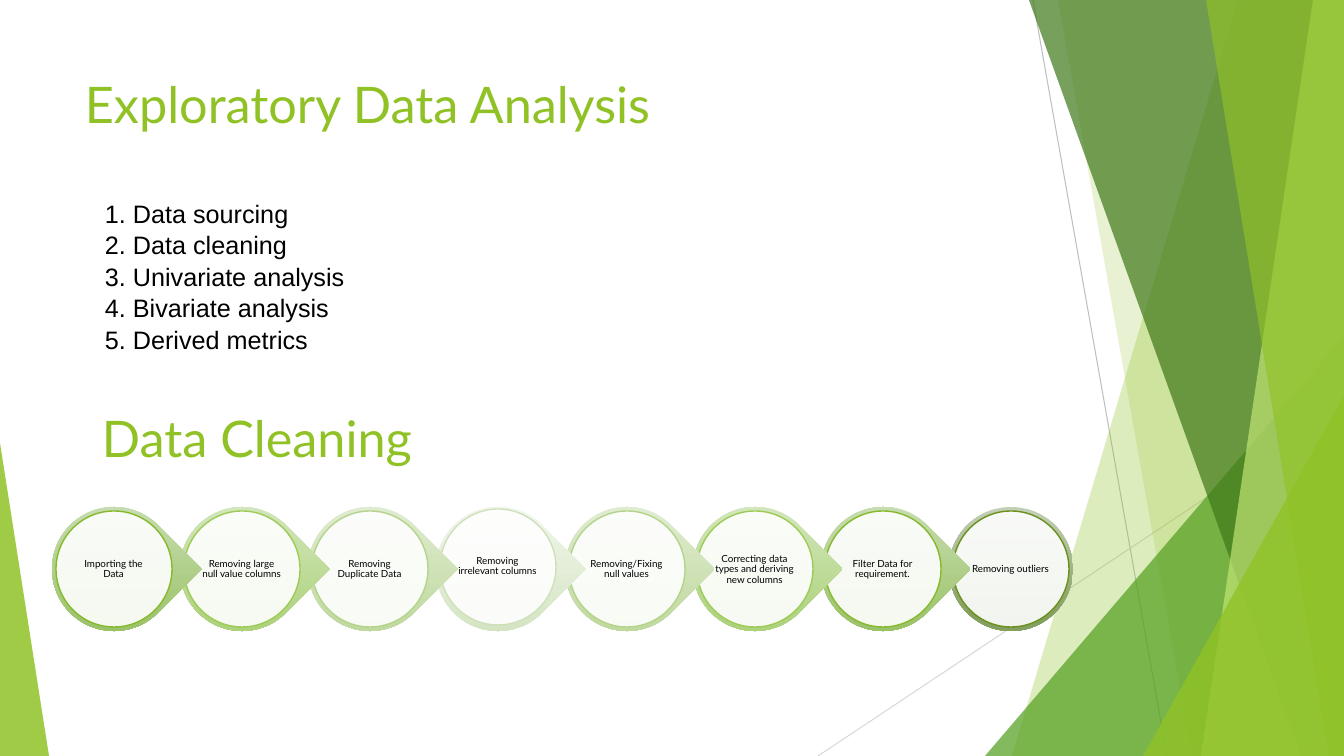
from lxml import etree
from pptx import Presentation
from pptx.dml.color import RGBColor
from pptx.enum.shapes import MSO_CONNECTOR, MSO_SHAPE
from pptx.enum.text import MSO_ANCHOR, PP_ALIGN
from pptx.oxml.ns import qn
from pptx.util import Emu, Pt

LINE = MSO_CONNECTOR.STRAIGHT
OVAL, TEAR, TRIANGLE = MSO_SHAPE.OVAL, MSO_SHAPE.TEAR, MSO_SHAPE.ISOSCELES_TRIANGLE
TOP, MIDDLE = MSO_ANCHOR.TOP, MSO_ANCHOR.MIDDLE
LEFT, CENTER = PP_ALIGN.LEFT, PP_ALIGN.CENTER
WIDTH, HEIGHT = 1344, 756
GREEN = "90C226"


def px(n):
    return Emu(round(n * 914400 / 100.8))


def rgb(color):
    return RGBColor.from_string(color)


def write(tf, text, font="Lato", size=36, color=GREEN, align=LEFT, spacing=1.0):
    for i, line in enumerate(text.split("\n")):
        p = tf.paragraphs[0] if i == 0 else tf.add_paragraph()
        p.alignment, p.line_spacing = align, spacing
        r = p.add_run()
        r.text = line
        r.font.name, r.font.size = font, Pt(size)
        r.font.color.rgb = rgb(color)


class Deck:
    def __init__(self):
        self.prs = Presentation()
        self.prs.slide_width, self.prs.slide_height = px(WIDTH), px(HEIGHT)
        self.s = self.prs.slides.add_slide(self.prs.slide_layouts[6])

    def line(self, x1, y1, x2, y2, color):
        sp = self.s.shapes.add_connector(LINE, px(x1), px(y1), px(x2), px(y2))
        sp.line.color.rgb, sp.line.width = rgb(color), Pt(0.75)
        etree.SubElement(sp._element.spPr, qn("a:effectLst"))

    def paint(self, sp, color, opacity, outline=None):
        sp.shadow.inherit = False
        sp.fill.solid()
        sp.fill.fore_color.rgb = rgb(color)
        clr = sp._element.spPr.find(qn("a:solidFill"))[0]
        etree.SubElement(clr, qn("a:alpha")).set("val", str(opacity * 1000))
        if outline:
            sp.line.color.rgb, sp.line.width = rgb(outline), Pt(1)
        else:
            sp.line.fill.background()

    def panel(self, top_x, bottom_x, color, opacity):
        """Full-height band from a slanted left edge to the slide's right edge."""
        fb = self.s.shapes.build_freeform(px(top_x), 0)
        fb.add_line_segments([(px(WIDTH), 0), (px(WIDTH), px(HEIGHT)), (px(bottom_x), px(HEIGHT))])
        self.paint(fb.convert_to_shape(), color, opacity)

    def corner(self, x, y, w, apex, color, opacity):
        """Right triangle standing on the slide's bottom edge."""
        sp = self.s.shapes.add_shape(TRIANGLE, px(x), px(y), px(w), px(HEIGHT - y))
        sp.adjustments[0] = apex
        self.paint(sp, color, opacity)

    def ring(self, kind, x, y, size, start, end):
        sp = self.s.shapes.add_shape(kind, px(x), px(y), px(size), px(size))
        sp.shadow.inherit = False
        sp.line.fill.background()
        if kind == TEAR:
            sp.adjustments[0] = 1
            sp.rotation = 45
        sp.fill.gradient()
        sp.fill.gradient_angle = 270
        for stop, pos, color in zip(sp.fill.gradient_stops, (0, 0.88), (start, end)):
            stop.position, stop.color.rgb = pos, rgb(color)
        # Keep the shading vertical on the rotated shape
        sp._element.spPr.find(qn("a:gradFill")).set("rotWithShape", "0")

    def disc(self, x, y, size, outline):
        sp = self.s.shapes.add_shape(OVAL, px(x), px(y), px(size), px(size))
        self.paint(sp, "FFFFFF", 90, outline)

    def text(self, x, y, w, h, text, anchor=TOP, inset=None, **fmt):
        tf = self.s.shapes.add_textbox(px(x), px(y), px(w), px(h)).text_frame
        tf.word_wrap, tf.vertical_anchor = True, anchor
        if inset is not None:
            tf.margin_left = tf.margin_right = tf.margin_top = tf.margin_bottom = px(inset)
        write(tf, text, **fmt)


# Shades: gradient start, gradient end, outline
DARK = ("C4CFB8", "84A060", "6B901C")
STRONG = ("D0E1BE", "99C265", "87B92E")
MEDIUM = ("DAEAC9", "ABD178", "9ECB57")
SOFT = ("E7F0DC", "BED89C", "B4D48B")
PALE = ("F7FAF4", "D4E4C2", "CEE0BA")

# Cleaning steps: label, shade, upward shift of the disc and of the label
STEPS = [
    ("Importing the Data", STRONG, 0, 0),
    ("Removing large null value columns", MEDIUM, 0, 0),
    ("Removing Duplicate Data", SOFT, 0, 0),
    ("Removing irrelevant columns", PALE, 2, 3),
    ("Removing/Fixing null values", SOFT, 0, 0),
    ("Correcting data types and deriving new columns", MEDIUM, 0, 0),
    ("Filter Data for requirement.", STRONG, 0, 0),
    ("Removing outliers", DARK, 0, 0),
]
ANALYSIS = ["Data sourcing", "Data cleaning", "Univariate analysis",
            "Bivariate analysis", "Derived metrics"]


def main():
    d = Deck()

    # Background facets
    d.line(1033, 0, 1167, HEIGHT, "BFBFBF")
    d.line(WIDTH, 406, 818, HEIGHT, "D9D9D9")
    d.panel(1238, 1012, GREEN, 30)
    d.panel(1058, 1192, GREEN, 20)
    d.corner(985, 336, 359, 1, "54A021", 72)
    d.panel(1029, 1301, "3F7819", 70)
    d.panel(1313, 1201, "C0E474", 70)
    d.panel(1206, 1329, GREEN, 65)
    d.corner(1143, 396, 201, 1, GREEN, 80)
    d.corner(0, 443, 49, 0, GREEN, 85)

    # Title
    d.text(75, 68, 948, 100, "Exploratory Data Analysis")

    # Step chain, drawn from the last step so each tip overlaps the next ring
    last = len(STEPS) - 1
    for i in range(last, -1, -1):
        label, (start, end, outline), disc_up, label_up = STEPS[i]
        x, y = 52 + round(i * 897 / last), 507
        d.ring(OVAL if i == last else TEAR, x, y, 124, start, end)
        d.disc(x + 4, y + 4 - disc_up, 116, outline)
        d.text(x + 20, y + 21 - label_up, 83, 83, label, anchor=MIDDLE, inset=1,
               size=7, color="000000", align=CENTER, spacing=0.9)

    # Analysis list and second heading
    d.text(95, 192, 459, 194, "\n".join(f"{n}. {item}" for n, item in enumerate(ANALYSIS, 1)),
           font="Arial", size=18, color="000000", spacing=1.04)
    d.text(92, 402, 948, 77, "Data Cleaning")

    d.prs.save("out.pptx")


if __name__ == "__main__":
    main()
